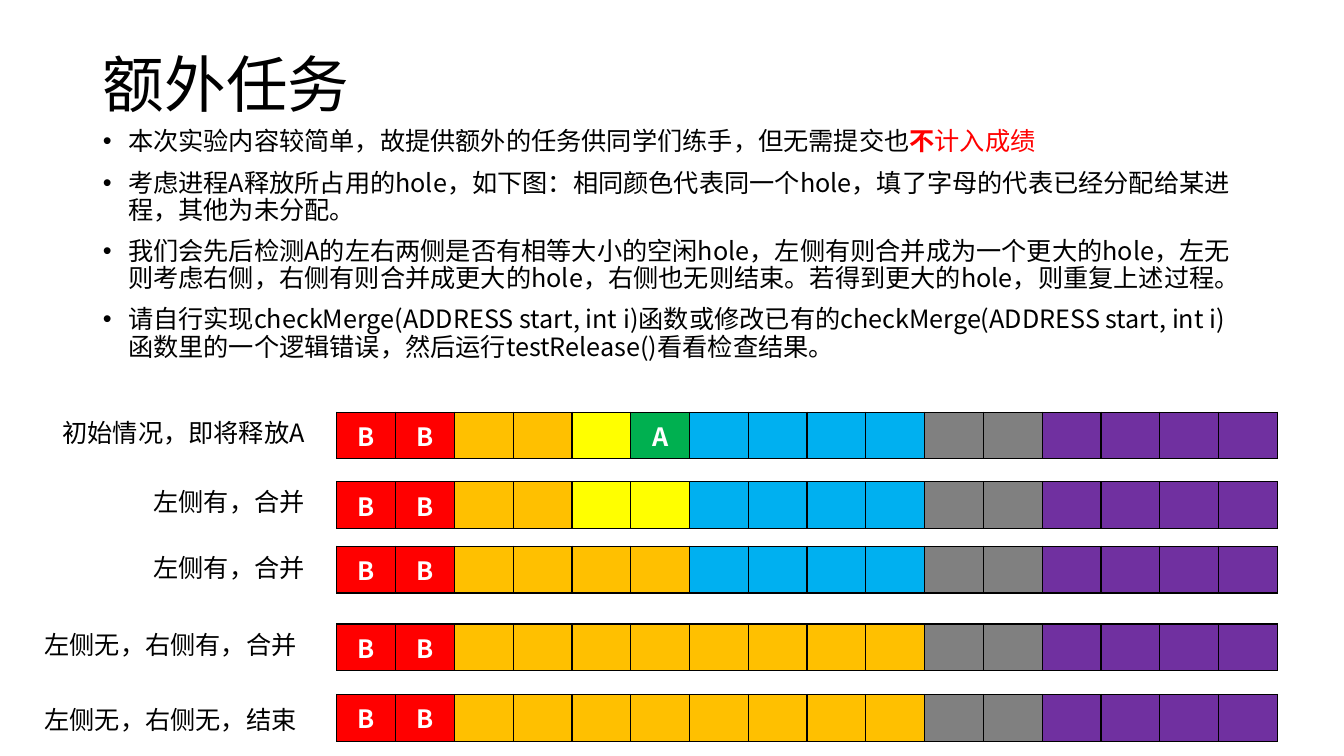
from dataclasses import dataclass

from lxml import etree
from pptx import Presentation
from pptx.dml.color import RGBColor
from pptx.enum.text import MSO_ANCHOR, MSO_AUTO_SIZE, PP_ALIGN
from pptx.oxml.ns import qn
from pptx.util import Inches, Pt

LEFT, CENTER, RIGHT = PP_ALIGN.LEFT, PP_ALIGN.CENTER, PP_ALIGN.RIGHT
TOP, MIDDLE = MSO_ANCHOR.TOP, MSO_ANCHOR.MIDDLE
FIXED = MSO_AUTO_SIZE.NONE


@dataclass(frozen=True)
class Theme:
    font: str = "Noto Sans CJK SC"
    head: int = 44
    text: int = 18
    line: int = 1
    black: str = "000000"
    white: str = "FFFFFF"
    red: str = "FF0000"


THEME = Theme()
WIDE, HIGH = 13.33, 7.5
SIDE, SPAN = 0.92, 11.5
TABLE_X, TABLE_W, ROW_H = 3.34, 9.33, 0.42
LABEL_X, LABEL_H = 0.3, 0.4

HOLES = {"R": THEME.red, "O": "FFC000", "Y": "FFFF00", "G": "00B050",
         "C": "00B0F0", "S": "808080", "P": "7030A0"}
OWNERS = {"R": "B", "G": "A"}

# Each step: label, holes, top of the table, top and right edge of the label
STEPS = [
    ("初始情况，即将释放A", "RROOYGCCCCSSPPPP", 4.09, 4.09, 3.12),
    ("左侧有，合并", "RROOYYCCCCSSPPPP", 4.78, 4.78, 3.12),
    ("左侧有，合并", "RROOOOCCCCSSPPPP", 5.42, 5.43, 3.12),
    ("左侧无，右侧有，合并", "RROOOOOOOOSSPPPP", 6.19, 6.19, 3.04),
    ("左侧无，右侧无，结束", "RROOOOOOOOSSPPPP", 6.89, 6.94, 3.04),
]

TASKS = [
    [("本次实验内容较简单，故提供额外的任务供同学们练手，但无需提交也", {}),
     ("不", {"color": THEME.red, "bold": True}),
     ("计入成绩", {"color": THEME.red})],
    [("考虑进程A释放所占用的hole，如下图：相同颜色代表同一个hole，"
      "填了字母的代表已经分配给某进程，其他为未分配。", {})],
    [("我们会先后检测A的左右两侧是否有相等大小的空闲hole，左侧有则合并成为"
      "一个更大的hole，左无则考虑右侧，右侧有则合并成更大的hole，"
      "右侧也无则结束。若得到更大的hole，则重复上述过程。", {})],
    [("请自行实现checkMerge(ADDRESS start, int i)函数或修改已有的"
      "checkMerge(ADDRESS start, int i)函数里的一个逻辑错误，"
      "然后运行testRelease()看看检查结果。", {})],
]


def write(para, text, size=THEME.text, color=THEME.black, bold=False, align=LEFT):
    """Add one formatted run to a paragraph."""
    para.alignment = align
    run = para.add_run()
    run.text = text
    font = run.font
    font.name, font.size, font.bold = THEME.font, Pt(size), bold
    font.color.rgb = RGBColor.from_string(color)
    east = etree.SubElement(run._r.get_or_add_rPr(), qn("a:ea"))
    east.set("typeface", THEME.font)


def place(shape, x, y, w, h, anchor=TOP):
    shape.left, shape.top = Inches(x), Inches(y)
    shape.width, shape.height = Inches(w), Inches(h)
    frame = shape.text_frame
    frame.word_wrap, frame.auto_size = True, FIXED
    frame.vertical_anchor = anchor
    return frame


def add_title(slide, x, y, w, h):
    para = place(slide.shapes.title, x, y, w, h, MIDDLE).paragraphs[0]
    para.line_spacing = 0.9
    write(para, "额外任务", size=THEME.head)


def add_tasks(slide, x, y, w, h):
    frame = place(slide.placeholders[1], x, y, w, h)
    for i, parts in enumerate(TASKS):
        para = frame.add_paragraph() if i else frame.paragraphs[0]
        para.line_spacing, para.space_before = 0.9, Pt(10)
        props = para._p.get_or_add_pPr()
        props.set("marL", str(Inches(0.25)))
        props.set("indent", str(-Inches(0.25)))
        etree.SubElement(props, qn("a:buFont")).set("typeface", "Arial")
        etree.SubElement(props, qn("a:buChar")).set("char", "•")
        for text, style in parts:
            write(para, text, **style)


def frame_cell(cell):
    """Outline a cell; borders must come before the fill in its XML."""
    props = cell._tc.get_or_add_tcPr()
    for i, side in enumerate(("lnL", "lnR", "lnT", "lnB")):
        line = etree.Element(qn("a:" + side), w=str(Pt(THEME.line)))
        fill = etree.SubElement(line, qn("a:solidFill"))
        etree.SubElement(fill, qn("a:srgbClr")).set("val", THEME.black)
        props.insert(i, line)


def add_holes(slide, holes, x, y, w, h):
    count = len(holes)
    shape = slide.shapes.add_table(1, count, Inches(x), Inches(y), Inches(w), Inches(h))
    table = shape.table
    table.first_row = table.horz_banding = False
    for i, hole in enumerate(holes):
        table.columns[i].width = Inches(w / count)
        cell = table.cell(0, i)
        cell.fill.solid()
        cell.fill.fore_color.rgb = RGBColor.from_string(HOLES[hole])
        frame_cell(cell)
        if hole in OWNERS:
            write(cell.text_frame.paragraphs[0], OWNERS[hole],
                  color=THEME.white, bold=True, align=CENTER)


def add_label(slide, text, x, y, w, h):
    box = slide.shapes.add_textbox(0, 0, 0, 0)
    write(place(box, x, y, w, h).paragraphs[0], text, align=RIGHT)


def main():
    deck = Presentation()
    deck.slide_width, deck.slide_height = Inches(WIDE), Inches(HIGH)
    slide = deck.slides.add_slide(deck.slide_layouts[1])
    add_title(slide, SIDE, 0.4, SPAN, 0.94)
    add_tasks(slide, SIDE, 1.23, SPAN, 2.58)
    for text, holes, top, label_y, edge in STEPS:
        add_holes(slide, holes, TABLE_X, top, TABLE_W, ROW_H)
        add_label(slide, text, LABEL_X, label_y, edge - LABEL_X, LABEL_H)
    deck.save("out.pptx")


if __name__ == "__main__":
    main()
